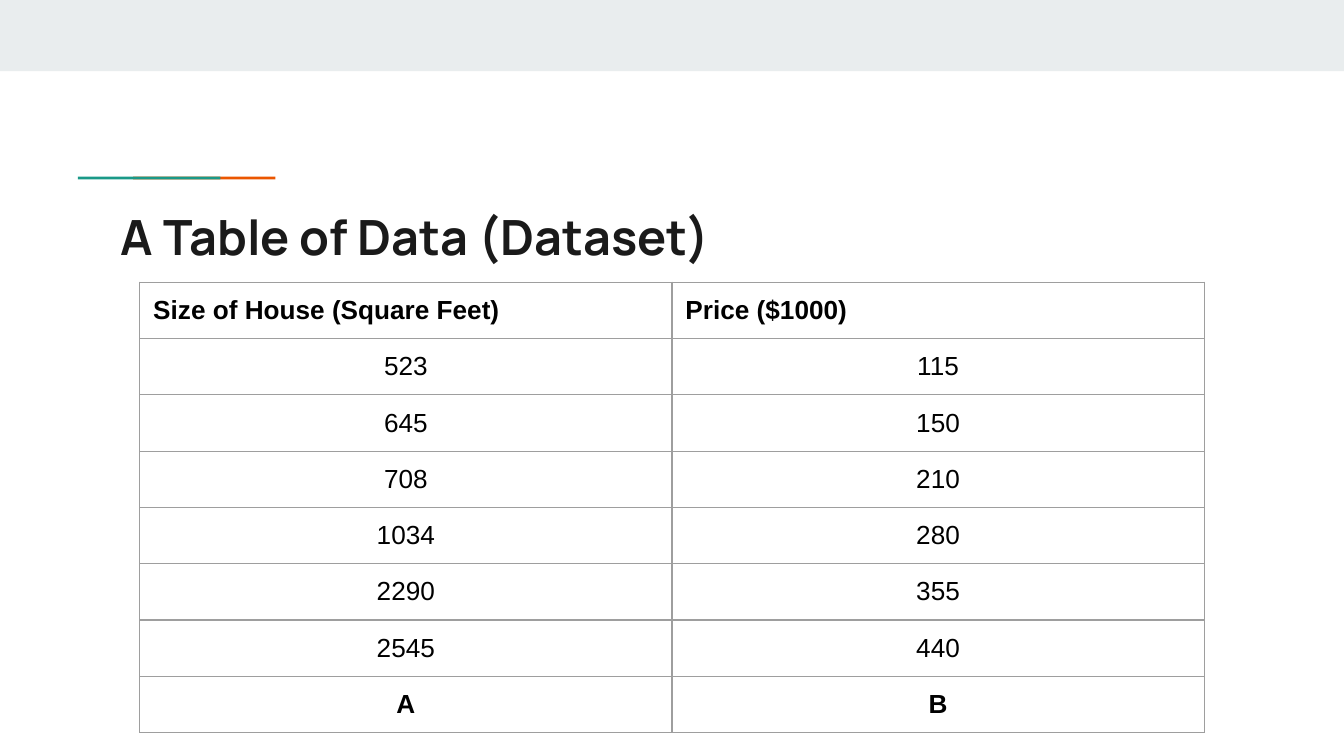
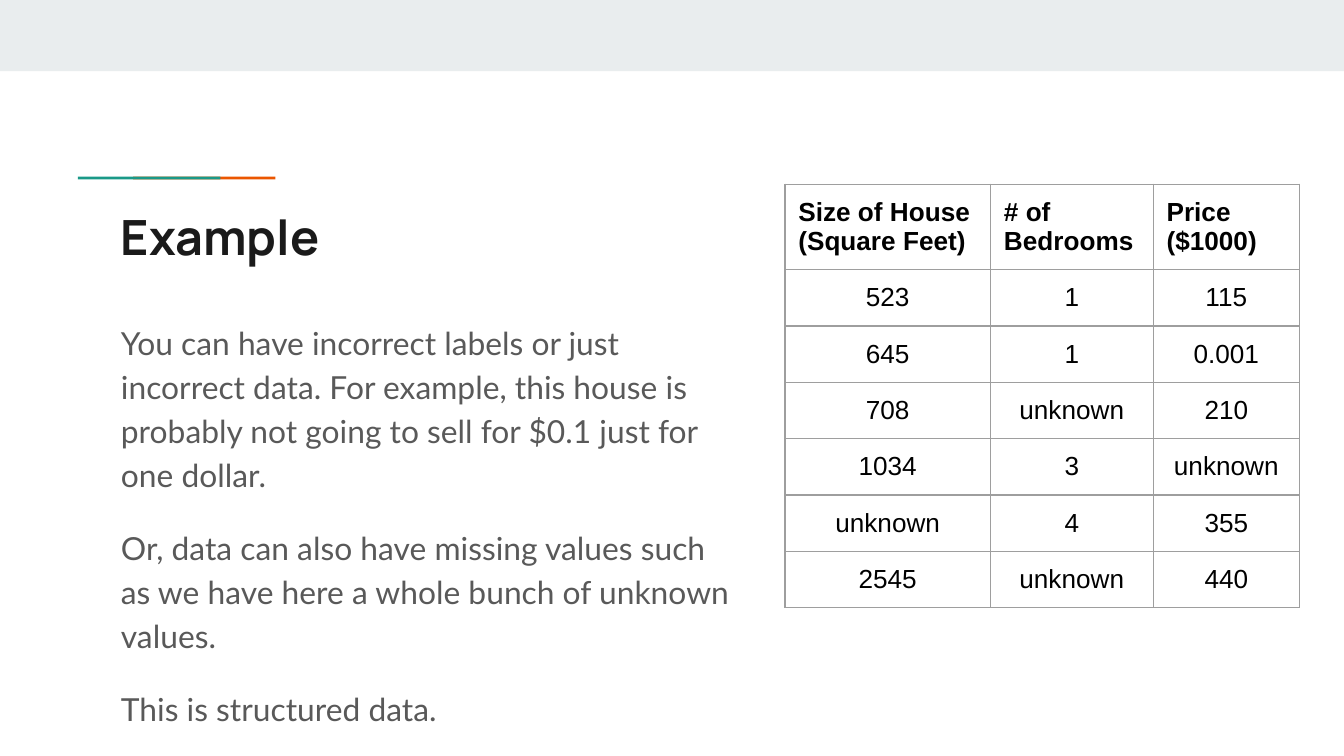
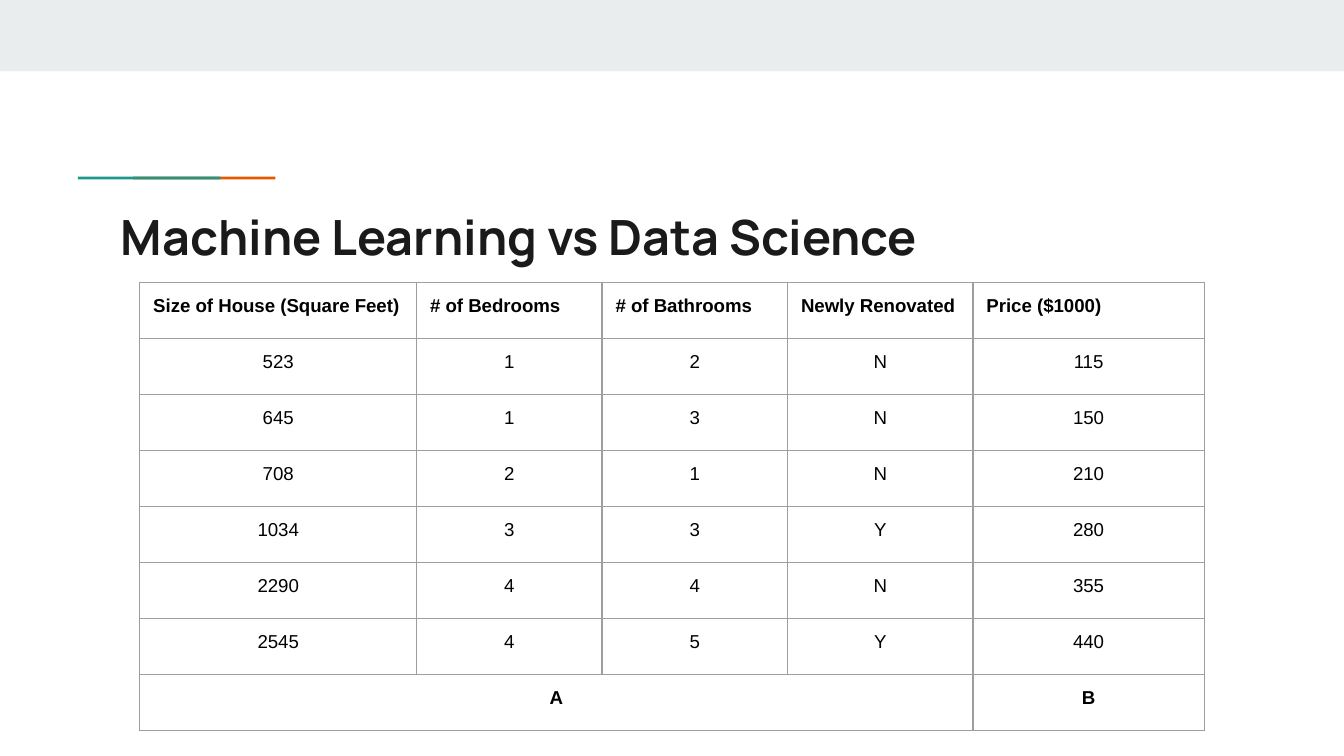
from lxml.etree import SubElement
from pptx import Presentation
from pptx.dml.color import RGBColor
from pptx.enum.shapes import MSO_SHAPE as SHAPE
from pptx.enum.text import MSO_ANCHOR as ANCHOR, MSO_AUTO_SIZE as AUTO, PP_ALIGN as ALIGN
from pptx.oxml.ns import qn
from pptx.util import Inches, Pt

# Colours
BAND = RGBColor(0xE9, 0xED, 0xEE)
TEAL = RGBColor(0x1A, 0x99, 0x88)
ORANGE = RGBColor(0xEB, 0x56, 0x00)
INK = RGBColor(0x1A, 0x1A, 0x1A)
GREY = RGBColor(0x59, 0x59, 0x59)
BLACK = RGBColor(0x00, 0x00, 0x00)
RULE = RGBColor(0x9E, 0x9E, 0x9E)

# Fonts
TITLE_FONT, BODY_FONT, TABLE_FONT = "Manrope", "Lato", "Arial"

# Grid: 100 square units across a 16:9 slide
SLIDE_W = Inches(10)
SLIDE_H = SLIDE_W * 9 // 16
UNIT = SLIDE_W // 100
PAD = UNIT
TITLE_ONLY, TITLE_BODY = 5, 1


def grid(*units):
    return [round(u * UNIT) for u in units]


def write(p, text, font, size, color, bold=False, align=ALIGN.LEFT,
          before=0, after=0, spacing=None):
    """Fill a paragraph with one formatted run."""
    p.alignment = align
    p.space_before, p.space_after = Pt(before), Pt(after)
    if spacing:
        p.line_spacing = spacing
    r = p.add_run()
    r.text = text
    r.font.name, r.font.size, r.font.bold = font, Pt(size), bold
    r.font.color.rgb = color


class Deck:
    def __init__(self):
        self.prs = Presentation()
        self.prs.slide_width, self.prs.slide_height = SLIDE_W, SLIDE_H
        self.s = None

    def slide(self, title, layout=TITLE_ONLY):
        """Start a slide with the shared band, accent line and title."""
        self.s = self.prs.slides.add_slide(self.prs.slide_layouts[layout])
        self.bar(0, 0, 100, 5.3, BAND)
        self.bar(9.9, 13.15, 10.6, 0.2, ORANGE)
        self.bar(5.8, 13.15, 10.6, 0.2, TEAL)
        tf = self.frame(self.s.shapes.title, 8, 14.4, 84.1, 5.9)
        write(tf.paragraphs[0], title, TITLE_FONT, 26, INK, bold=True)

    def bar(self, x, y, w, h, color):
        sp = self.s.shapes.add_shape(SHAPE.RECTANGLE, *grid(x, y, w, h))
        sp.shadow.inherit = False
        sp.fill.solid()
        sp.fill.fore_color.rgb = color
        sp.line.fill.background()

    def frame(self, sp, x, y, w, h):
        """Place a placeholder and return its prepared text frame."""
        sp.left, sp.top, sp.width, sp.height = grid(x, y, w, h)
        tf = sp.text_frame
        tf.word_wrap, tf.auto_size, tf.vertical_anchor = True, AUTO.NONE, ANCHOR.TOP
        tf.margin_left = tf.margin_right = tf.margin_top = tf.margin_bottom = PAD
        return tf

    def body(self, x, y, w, h, texts):
        tf = self.frame(self.s.placeholders[1], x, y, w, h)
        for i, text in enumerate(texts):
            p = tf.add_paragraph() if i else tf.paragraphs[0]
            pPr = p._p.get_or_add_pPr()
            pPr.set("marL", "0")
            pPr.set("indent", "0")
            SubElement(pPr, qn("a:buNone"))
            write(p, text, BODY_FONT, 17, GREY, spacing=1.15,
                  before=16 if i else 0, after=16 if i == len(texts) - 1 else 0)

    def table(self, x, y, cols, row_h, rows, size=14, footer=False):
        """Draw a ruled table; None continues the cell on its left."""
        left, top, w, h = grid(x, y, sum(cols), row_h * len(rows))
        t = self.s.shapes.add_table(len(rows), len(cols), left, top, w, h).table
        t.first_row = t.horz_banding = False
        for col, width in zip(t.columns, grid(*cols)):
            col.width = width
        for i, row in enumerate(rows):
            t.rows[i].height = round(row_h * UNIT)
            bold = i == 0 or footer and i == len(rows) - 1
            for j, text in enumerate(row):
                cell = t.cell(i, j)
                self.rule(cell)
                if text is None:
                    continue
                end = j
                while end + 1 < len(row) and row[end + 1] is None:
                    end += 1
                if end > j:
                    cell.merge(t.cell(i, end))
                write(cell.text_frame.paragraphs[0], str(text), TABLE_FONT, size, BLACK,
                      bold=bold, align=ALIGN.CENTER if i else ALIGN.LEFT)

    def rule(self, cell):
        """Set a cell's margins, borders and empty fill."""
        cell.margin_left = cell.margin_right = cell.margin_top = cell.margin_bottom = PAD
        tcPr = cell._tc.get_or_add_tcPr()
        for side in "LRTB":
            ln = SubElement(tcPr, qn(f"a:ln{side}"), w=str(Pt(0.75)))
            fill = SubElement(ln, qn("a:solidFill"))
            SubElement(fill, qn("a:srgbClr"), val=str(RULE))
        cell.fill.background()


# Data shared by the tables
SIZE, BEDS, PRICE = "Size of House (Square Feet)", "# of Bedrooms", "Price ($1000)"
SIZES = [523, 645, 708, 1034, 2290, 2545]
PRICES = [115, 150, 210, 280, 355, 440]


def main():
    deck = Deck()

    # Dataset with one input
    deck.slide("A Table of Data (Dataset)")
    deck.table(10.4, 21, [39.6] * 2, 4.17,
               [(SIZE, PRICE), *zip(SIZES, PRICES), ("A", "B")], footer=True)

    # Faulty and missing values
    deck.slide("Example", TITLE_BODY)
    deck.body(8, 22.7, 47.9, 23.2, [
        "You can have incorrect labels or just incorrect data. For example, this house "
        "is probably not going to sell for $0.1 just for one dollar.",
        "Or, data can also have missing values such as we have here a whole bunch of "
        "unknown values.",
        "This is structured data.",
    ])
    gap = "unknown"
    deck.table(58.4, 13.7, [15.3, 12.1, 10.9], 2.3, [
        (SIZE, BEDS, PRICE),
        (523, 1, 115),
        (645, 1, 0.001),
        (708, gap, 210),
        (1034, 3, gap),
        (gap, 4, 355),
        (2545, gap, 440),
    ])

    # Dataset with several inputs
    deck.slide("Machine Learning vs Data Science")
    beds, baths, renovated = [1, 1, 2, 3, 4, 4], [2, 3, 1, 3, 4, 5], "NNNYNY"
    deck.table(10.4, 21, [20.6, 13.8, 13.8, 13.8, 17.2], 4.17, [
        (SIZE, BEDS, "# of Bathrooms", "Newly Renovated", PRICE),
        *zip(SIZES, beds, baths, renovated, PRICES),
        ("A", None, None, None, "B"),
    ], size=10, footer=True)

    deck.prs.save("out.pptx")


if __name__ == "__main__":
    main()
